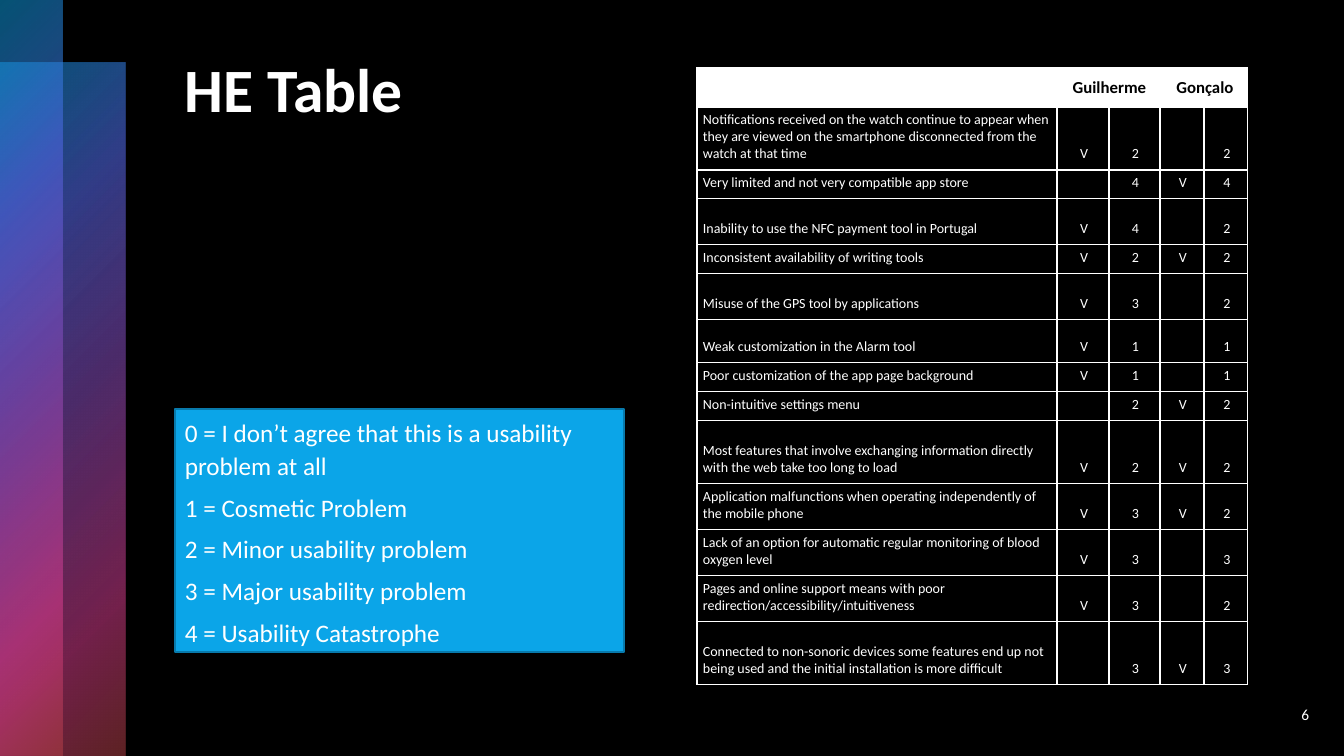
from dataclasses import dataclass

from lxml import etree
from pptx import Presentation
from pptx.dml.color import RGBColor
from pptx.enum.shapes import MSO_SHAPE
from pptx.enum.text import MSO_ANCHOR, PP_ALIGN
from pptx.oxml import parse_xml
from pptx.oxml.ns import nsdecls, qn
from pptx.util import Emu, Pt


@dataclass(frozen=True)
class Theme:
    font: str = "Calibri"
    black: str = "000000"
    white: str = "FFFFFF"
    blue: str = "0BA5E8"
    blue_edge: str = "087AAC"
    gradient: tuple = (
        (0, "0BA5E8", 50), (25, "5066E1", 60), (50, "894EC0", 55),
        (81, "E54196", 50), (99, "BE4449", 50),
    )
    title: int = 44
    legend: int = 18
    header: int = 12
    body: int = 10
    number: int = 11


THEME = Theme()
TITLE = "HE Table"
SLIDE_NUMBER = "6"
SEVERITIES = [
    "0 = I don’t agree that this is a usability problem at all",
    "1 = Cosmetic Problem",
    "2 = Minor usability problem",
    "3 = Major usability problem",
    "4 = Usability Catastrophe",
]
EVALUATORS = ["Guilherme", "Gonçalo"]
FINDINGS = [
    (63, "Notifications received on the watch continue to appear when they are viewed "
         "on the smartphone disconnected from the watch at that time", "V", "2", "", "2"),
    (29, "Very limited and not very compatible app store", "", "4", "V", "4"),
    (46, "Inability to use the NFC payment tool in Portugal", "V", "4", "", "2"),
    (29, "Inconsistent availability of writing tools", "V", "2", "V", "2"),
    (46, "Misuse of the GPS tool by applications", "V", "3", "", "2"),
    (43, "Weak customization in the Alarm tool", "V", "1", "", "1"),
    (29, "Poor customization of the app page background", "V", "1", "", "1"),
    (29, "Non-intuitive settings menu", "", "2", "V", "2"),
    (63, "Most features that involve exchanging information directly with the web "
         "take too long to load", "V", "2", "V", "2"),
    (46, "Application malfunctions when operating independently of the mobile phone",
     "V", "3", "V", "2"),
    (46, "Lack of an option for automatic regular monitoring of blood oxygen level",
     "V", "3", "", "3"),
    (46, "Pages and online support means with poor "
         "redirection/accessibility/intuitiveness", "V", "3", "", "2"),
    (63, "Connected to non-sonoric devices some features end up not being used and "
         "the initial installation is more difficult", "", "3", "V", "3"),
]
SLIDE_SIZE = (1344, 756)
BANDS = [(0, 63, 126, 693), (0, 0, 63, 756)]
TITLE_BOX = (175, 46, 449, 171)
LEGEND_BOX = (175, 409, 449, 243)
NUMBER_BOX = (1229, 694, 90, 40)
TABLE_ORIGIN = (697, 68)
COLUMN_WIDTHS = [360, 52, 51, 44, 44]
HEADER_HEIGHT = 39


def px(length):
    return Emu(round(length * 914400 / 100.8))


def place(box):
    return [px(length) for length in box]


def color(value):
    return RGBColor.from_string(value)


def style(paragraph, size, value=THEME.white, bold=False, align=PP_ALIGN.LEFT):
    paragraph.alignment = align
    paragraph.font.name = THEME.font
    paragraph.font.size = Pt(size)
    paragraph.font.bold = bold
    paragraph.font.color.rgb = color(value)


def add_rectangle(slide, box, fill=None, edge=None):
    shape = slide.shapes.add_shape(MSO_SHAPE.RECTANGLE, *place(box))
    shape.shadow.inherit = False
    if fill:
        shape.fill.solid()
        shape.fill.fore_color.rgb = color(fill)
    else:
        shape.fill.background()
    if edge:
        shape.line.color.rgb = color(edge)
        shape.line.width = Pt(1)
    else:
        shape.line.fill.background()
    return shape


def add_band(slide, box):
    properties = add_rectangle(slide, box).element.spPr
    stops = "".join(
        f'<a:gs pos="{position * 1000}"><a:srgbClr val="{value}">'
        f'<a:alpha val="{alpha * 1000}"/></a:srgbClr></a:gs>'
        for position, value, alpha in THEME.gradient
    )
    gradient = parse_xml(
        f'<a:gradFill {nsdecls("a")} rotWithShape="1"><a:gsLst>{stops}</a:gsLst>'
        '<a:path path="circle"><a:fillToRect r="100000" b="100000"/></a:path></a:gradFill>'
    )
    properties.replace(properties.find(qn("a:noFill")), gradient)


def add_text(slide, box, text, size, **options):
    frame = slide.shapes.add_textbox(*place(box)).text_frame
    frame.word_wrap = True
    frame.text = text
    style(frame.paragraphs[0], size, **options)
    return frame


def add_legend(slide):
    frame = add_rectangle(slide, LEGEND_BOX, THEME.blue, THEME.blue_edge).text_frame
    frame.word_wrap = True
    frame.vertical_anchor = MSO_ANCHOR.TOP
    frame.text = "\n".join(SEVERITIES)
    for paragraph in frame.paragraphs:
        style(paragraph, THEME.legend)
        paragraph.line_spacing = 1.1
        paragraph.space_after = Pt(6)


def format_cell(cell, fill, anchor, top):
    cell.vertical_anchor = anchor
    cell.margin_left, cell.margin_top = px(6), px(top)
    cell.margin_right, cell.margin_bottom = px(4), px(8)
    properties = cell._tc.get_or_add_tcPr()
    for side in ("lnL", "lnR", "lnT", "lnB"):
        border = etree.SubElement(properties, qn(f"a:{side}"), w=str(Pt(1)))
        solid = etree.SubElement(border, qn("a:solidFill"))
        etree.SubElement(solid, qn("a:srgbClr"), val=THEME.white)
    cell.fill.solid()
    cell.fill.fore_color.rgb = color(fill)


def add_findings_table(slide):
    heights = [HEADER_HEIGHT] + [finding[0] for finding in FINDINGS]
    box = (*TABLE_ORIGIN, sum(COLUMN_WIDTHS), sum(heights))
    table = slide.shapes.add_table(len(heights), len(COLUMN_WIDTHS), *place(box)).table
    table.first_row = table.horz_banding = False
    for column, width in zip(table.columns, COLUMN_WIDTHS):
        column.width = px(width)
    for row, height in zip(table.rows, heights):
        row.height = px(height)

    header = [""] + [text for name in EVALUATORS for text in (name, "")]
    for column, text in enumerate(header):
        cell = table.cell(0, column)
        cell.text = text
        style(cell.text_frame.paragraphs[0], THEME.header, THEME.black, True, PP_ALIGN.CENTER)
        format_cell(cell, THEME.white, MSO_ANCHOR.MIDDLE, 8)
    for column in range(1, len(header), 2):
        table.cell(0, column).merge(table.cell(0, column + 1))

    for row, (_, *texts) in enumerate(FINDINGS, start=1):
        for column, text in enumerate(texts):
            cell = table.cell(row, column)
            cell.text = text
            align = PP_ALIGN.CENTER if column else PP_ALIGN.LEFT
            style(cell.text_frame.paragraphs[0], THEME.body, align=align)
            format_cell(cell, THEME.black, MSO_ANCHOR.BOTTOM, 1)


def main():
    presentation = Presentation()
    presentation.slide_width, presentation.slide_height = place(SLIDE_SIZE)
    slide = presentation.slides.add_slide(presentation.slide_layouts[6])
    slide.background.fill.solid()
    slide.background.fill.fore_color.rgb = color(THEME.black)
    add_rectangle(slide, (0, 0, *SLIDE_SIZE), THEME.black)
    for band in BANDS:
        add_band(slide, band)
    add_text(slide, TITLE_BOX, TITLE, THEME.title, bold=True)
    add_legend(slide)
    add_findings_table(slide)
    number = add_text(slide, NUMBER_BOX, SLIDE_NUMBER, THEME.number, align=PP_ALIGN.RIGHT)
    number.vertical_anchor = MSO_ANCHOR.MIDDLE
    presentation.save("out.pptx")


if __name__ == "__main__":
    main()
